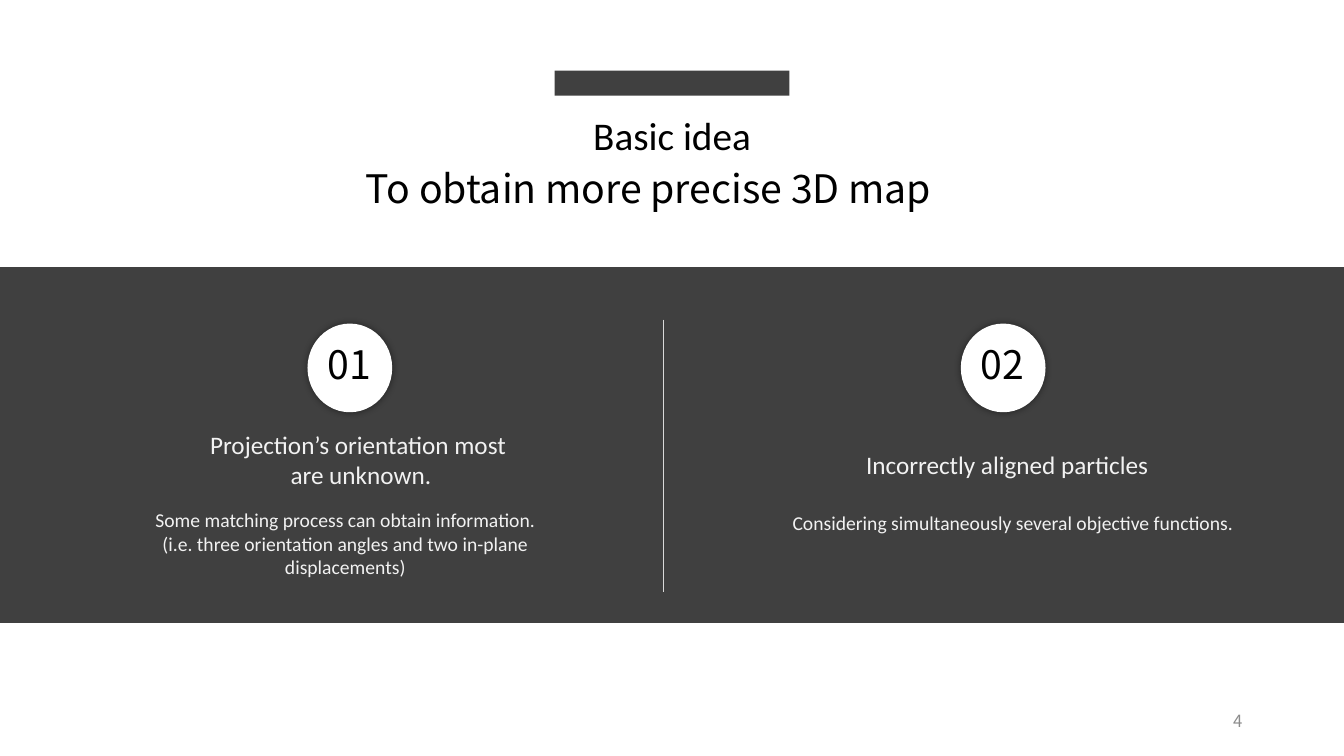
import dataclasses
import typing

import lxml.etree
import pptx
import pptx.dml.color
import pptx.enum.shapes
import pptx.enum.text
import pptx.oxml
import pptx.oxml.ns
import pptx.util

SCALE = 9144
SHAPE = pptx.enum.shapes.MSO_SHAPE
ALIGN = pptx.enum.text.PP_ALIGN
ANCHOR = pptx.enum.text.MSO_ANCHOR


@dataclasses.dataclass(frozen=True)
class Theme:
    dark: str = "404040"
    white: str = "FFFFFF"
    black: str = "000000"
    pale: str = "F2F2F2"
    rule: str = "D9D9D9"
    grey: str = "8C8C8C"
    body_font: str = "Calibri"
    display_font: str = "Noto Sans CJK SC"
    title_size: int = 28
    heading_size: int = 18
    detail_size: int = 14
    number_size: int = 12
    rule_width: float = 0.5
    shadow_blur: int = 5
    shadow_alpha: int = 40


THEME = Theme()


class Box(typing.NamedTuple):
    x: int
    y: int
    w: int
    h: int


@dataclasses.dataclass(frozen=True)
class Label:
    box: Box
    lines: tuple[str, ...]
    size: int
    color: str
    font: str = THEME.body_font
    align: ALIGN = ALIGN.CENTER
    anchor: ANCHOR = ANCHOR.TOP


@dataclasses.dataclass(frozen=True)
class Idea:
    number: str
    circle_x: int
    heading_box: Box
    heading: tuple[str, ...]
    detail_box: Box
    detail: tuple[str, ...]


TITLES = (
    Label(Box(328, 158, 639, 57), ("To obtain more precise 3D map ",),
          THEME.title_size, THEME.black, THEME.display_font),
    Label(Box(352, 106, 629, 57), ("Basic idea",), THEME.title_size, THEME.black),
)

IDEAS = (
    Idea("01", 305,
         Box(165, 421, 386, 78), ("Projection’s orientation most ", "are unknown."),
         Box(105, 499, 475, 89),
         ("Some matching process can obtain information.",
          "(i.e. three orientation angles and two in-plane displacements)")),
    Idea("02", 953,
         Box(783, 441, 432, 45), ("Incorrectly aligned particles",),
         Box(775, 502, 464, 34),
         ("Considering simultaneously several objective functions. ",)),
)

PAGE_NUMBER = Label(Box(942, 695, 300, 40), ("4",), THEME.number_size, THEME.grey,
                    THEME.display_font, ALIGN.RIGHT, ANCHOR.MIDDLE)


def px(n: int) -> int:
    return pptx.util.Emu(n * SCALE)


def rgb(color: str) -> pptx.dml.color.RGBColor:
    return pptx.dml.color.RGBColor.from_string(color)


def apply(target: typing.Any, values: dict[str, typing.Any]) -> None:
    for name, value in values.items():
        setattr(target, name, value)


def add_label(s: typing.Any, label: Label) -> None:
    tf = s.shapes.add_textbox(*map(px, label.box)).text_frame
    apply(tf, {"word_wrap": True, "vertical_anchor": label.anchor})
    for i, line in enumerate(label.lines):
        p = tf.paragraphs[0] if i == 0 else tf.add_paragraph()
        p.alignment = label.align
        r = p.add_run()
        r.text = line
        apply(r.font, {"name": label.font, "size": pptx.util.Pt(label.size)})
        r.font.color.rgb = rgb(label.color)


def add_filled(s: typing.Any, kind: SHAPE, box: Box, color: str) -> typing.Any:
    sp = s.shapes.add_shape(kind, *map(px, box))
    sp.shadow.inherit = False
    sp.fill.solid()
    sp.fill.fore_color.rgb = rgb(color)
    sp.line.fill.background()
    return sp


def add_glow_shadow(sp: typing.Any) -> None:
    effects = sp.element.spPr.find(pptx.oxml.ns.qn("a:effectLst"))
    shadow = lxml.etree.SubElement(
        effects, pptx.oxml.ns.qn("a:outerShdw"),
        blurRad=str(pptx.util.Pt(THEME.shadow_blur)), dist="0", dir="0",
        algn="ctr", rotWithShape="0")
    color = lxml.etree.SubElement(shadow, pptx.oxml.ns.qn("a:srgbClr"), val=THEME.black)
    lxml.etree.SubElement(color, pptx.oxml.ns.qn("a:alpha"),
                          val=str(THEME.shadow_alpha * 1000))


def add_divider(s: typing.Any, x: int, top: int, bottom: int) -> None:
    line = s.shapes.add_connector(pptx.enum.shapes.MSO_CONNECTOR.STRAIGHT,
                                  px(x), px(top), px(x), px(bottom))
    line.line.color.rgb = rgb(THEME.rule)
    line.line.width = pptx.util.Pt(THEME.rule_width)
    lxml.etree.SubElement(line.element.spPr, pptx.oxml.ns.qn("a:effectLst"))


def add_idea(s: typing.Any, idea: Idea) -> None:
    add_label(s, Label(idea.heading_box, idea.heading, THEME.heading_size, THEME.pale))
    circle = add_filled(s, SHAPE.OVAL, Box(idea.circle_x, 321, 84, 88), THEME.white)
    add_glow_shadow(circle)
    add_label(s, Label(Box(idea.circle_x - 10, 333, 103, 63), (idea.number,),
                       THEME.title_size, THEME.black, THEME.display_font))
    add_label(s, Label(idea.detail_box, idea.detail, THEME.detail_size, THEME.pale))


def main() -> None:
    prs = pptx.Presentation()
    apply(prs, {"slide_width": px(1333), "slide_height": px(750)})
    s = prs.slides.add_slide(prs.slide_layouts[6])
    for title in TITLES:
        add_label(s, title)
    for box in (Box(550, 70, 233, 25), Box(0, 265, 1333, 353)):
        add_filled(s, SHAPE.RECTANGLE, box, THEME.dark)
    add_divider(s, 658, 317, 587)
    for idea in IDEAS:
        add_idea(s, idea)
    add_label(s, PAGE_NUMBER)
    prs.save("out.pptx")


if __name__ == "__main__":
    main()
